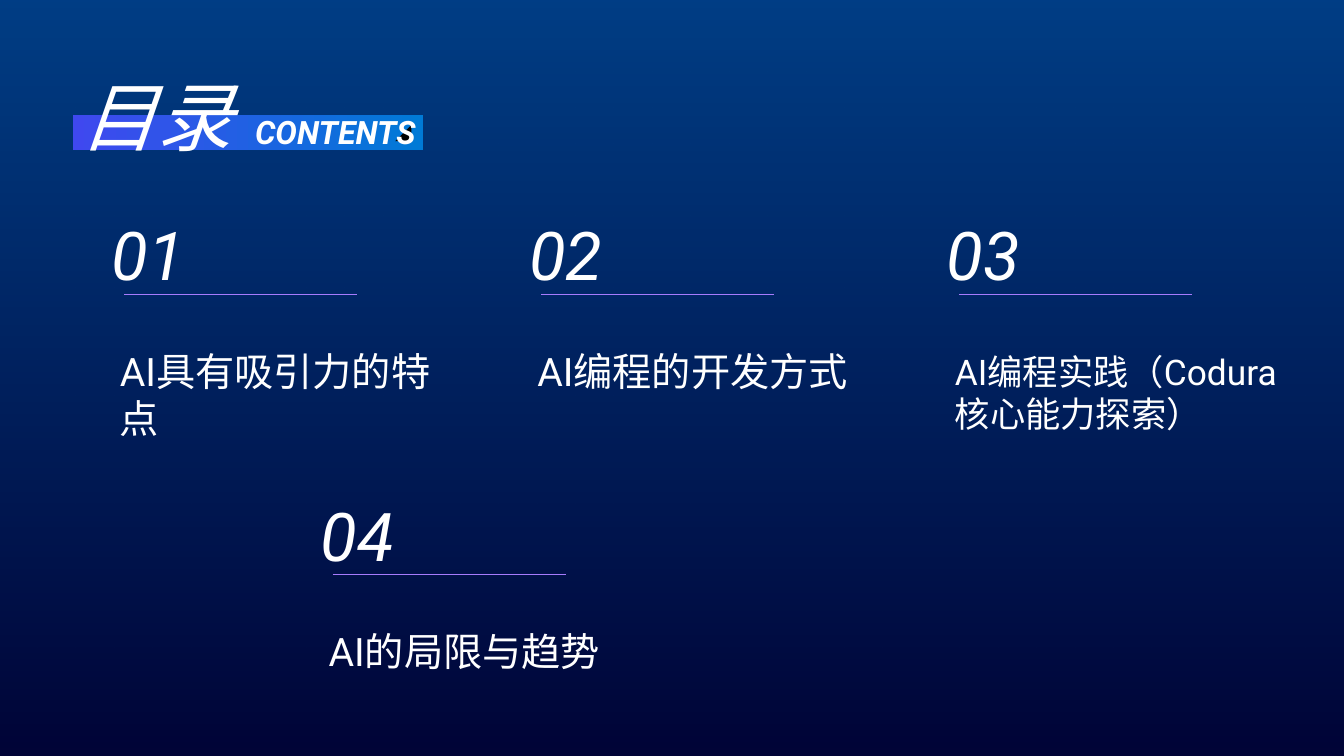
from lxml import etree
from pptx import Presentation, util as u
from pptx.dml.color import RGBColor
from pptx.enum import shapes, text
from pptx.oxml.ns import qn

PX = 9144
THEME = {
    "font": "Roboto", "back": "010437", "white": "FFFFFF", "black": "000000",
    "sky": "007AD6", "violet": "3F48EF", "line": "A67BFD",
    "title": 54, "number": 48, "item": 28, "small": 25.2, "label": 23,
}


def place(kind, *box, colors=(), angle=0):
    shape = slide.shapes.add_shape(kind, *(n * PX for n in box))
    shape.shadow.inherit = False
    shape.line.fill.background()
    if len(colors) == 1:
        shape.fill.solid()
        shape.fill.fore_color.rgb = RGBColor.from_string(THEME[colors[0]])
    else:
        shape.fill.gradient()
        shape.fill.gradient_angle = angle
        for stop, name, pos in zip(shape.fill.gradient_stops, colors, (0, 1)):
            stop.color.rgb = RGBColor.from_string(THEME[name])
            stop.position = pos
    return shape


def write(shape, words, size, anchor, left=0, top=0, bold=False, italic=False):
    frame = shape.text_frame
    frame.text = words
    frame.word_wrap = True
    frame.auto_size = text.MSO_AUTO_SIZE.NONE
    frame.vertical_anchor = anchor
    frame.margin_left, frame.margin_top = left * PX, top * PX
    frame.margin_right = frame.margin_bottom = 0
    font = frame.paragraphs[0].runs[0].font
    font.name, font.size = THEME["font"], u.Pt(THEME[size])
    font.bold, font.italic = bold, italic
    font.color.rgb = RGBColor.from_string(THEME["white"])


deck = Presentation()
deck.slide_width, deck.slide_height = 1333 * PX, 750 * PX
slide = deck.slides.add_slide(deck.slide_layouts[5])
slide.background.fill.solid()
slide.background.fill.fore_color.rgb = RGBColor.from_string(THEME["back"])

rect = shapes.MSO_SHAPE.RECTANGLE
anchor = text.MSO_ANCHOR

glow = place(rect, 0, 0, 1333, 750, colors=("sky", "sky"), angle=270)
for color, alpha in zip(glow.fill._xPr.iter(qn("a:srgbClr")), (50000, 0)):
    etree.SubElement(color, qn("a:alpha")).set("val", str(alpha))

place(rect, 72, 114, 348, 35, colors=("violet", "sky"))
corner = place(shapes.MSO_SHAPE.RIGHT_TRIANGLE, 392, 124, 16, 16, colors=("black",))
corner.rotation = 270

title = slide.shapes.title
title.left, title.top, title.width, title.height = (n * PX for n in (80, 69, 157, 81))
write(title, "目录", "title", anchor.TOP, italic=True)
title.text_frame.paragraphs[0].alignment = text.PP_ALIGN.JUSTIFY
slide.shapes._spTree.append(title._element)

label = slide.shapes.add_textbox(*(n * PX for n in (253, 111, 180, 38)))
write(label, "CONTENTS", "label", anchor.TOP, bold=True, italic=True)

items = [
    (111, 195, "AI具有吸引力的特点", "item", 47),
    (525, 195, "AI编程的开发方式", "item", 0),
    (939, 195, "AI编程实践（Codura 核心能力探索）", "small", 43),
    (318, 473, "AI的局限与趋势", "item", 0),
]
for index, (x, y, words, size, top) in enumerate(items, 1):
    number = slide.shapes.add_textbox(x * PX, y * PX, 325 * PX, 97 * PX)
    write(number, f"{index:02}", "number", anchor.BOTTOM, italic=True)
    topic = slide.shapes.add_textbox(x * PX, (y + 95) * PX, 349 * PX, 156 * PX)
    write(topic, words, size, anchor.MIDDLE, left=8, top=top)
    rule = slide.shapes.add_connector(
        shapes.MSO_CONNECTOR.STRAIGHT,
        (x + 12) * PX, (y + 97) * PX, (x + 243) * PX, (y + 97) * PX)
    rule.line.color.rgb = RGBColor.from_string(THEME["line"])
    rule.line.width = u.Pt(0.5)
    etree.SubElement(rule._element.spPr, qn("a:effectLst"))

deck.save("out.pptx")
